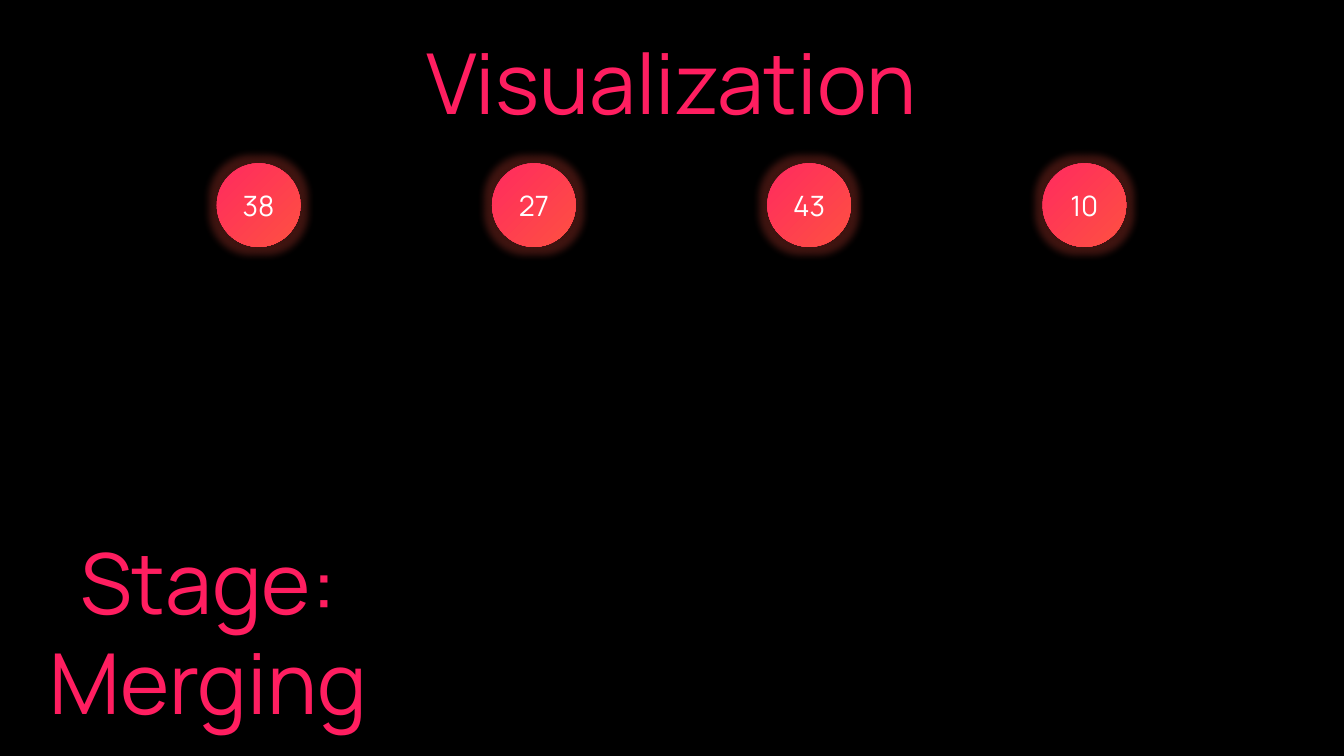
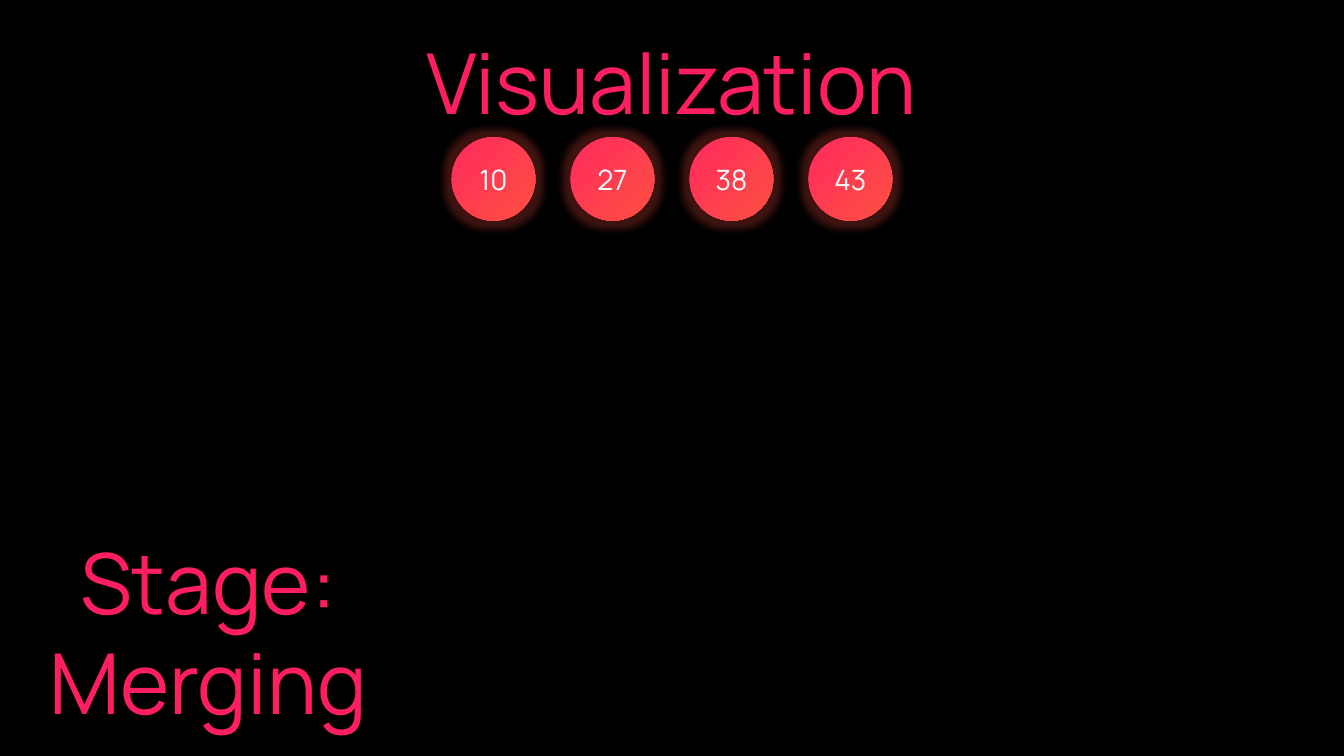
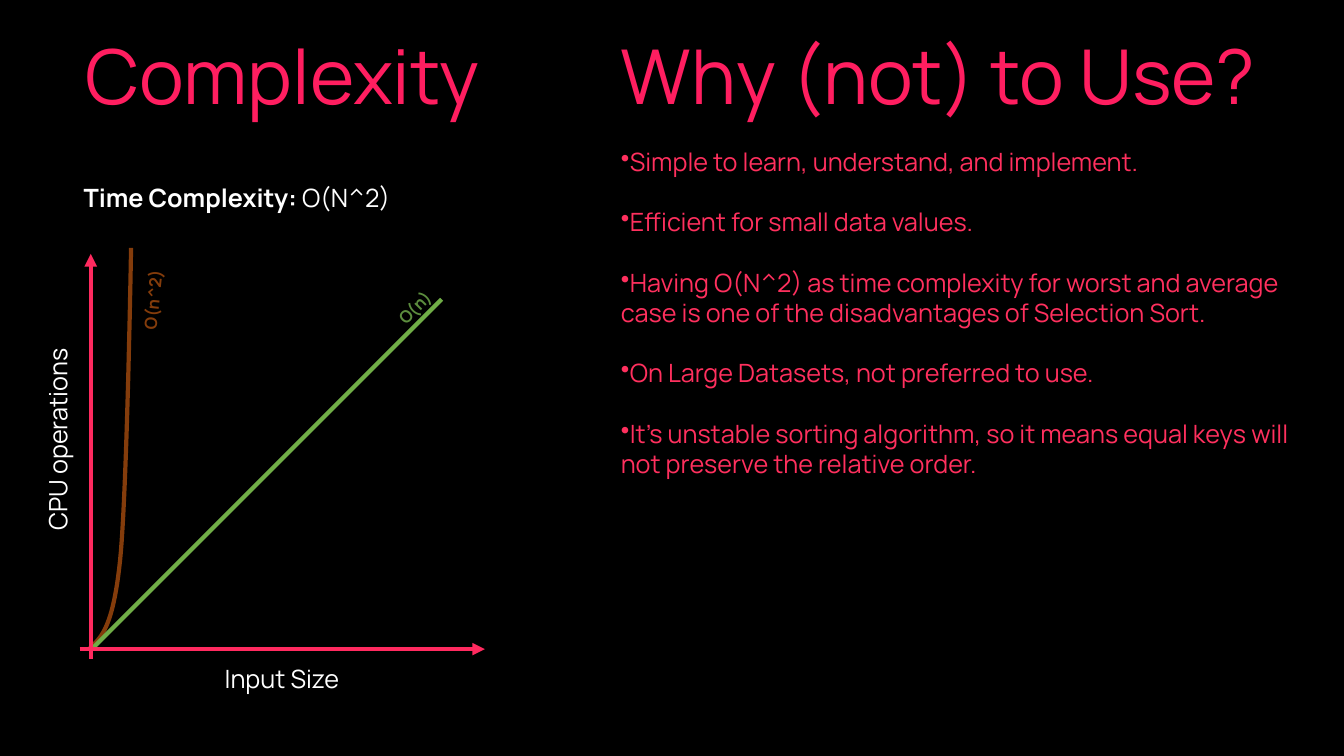
"""Build three dark slides on sorting: two visualization stages and a complexity summary."""
from dataclasses import dataclass

from lxml import etree
from pptx import Presentation
from pptx.dml.color import RGBColor
from pptx.dml.fill import FillFormat
from pptx.enum import shapes, text
from pptx.oxml.ns import qn
from pptx.slide import Slide
from pptx.util import Inches, Pt

BLACK = RGBColor(0x00, 0x00, 0x00)
WHITE = RGBColor(0xFF, 0xFF, 0xFF)
BROWN = RGBColor(0x84, 0x3C, 0x0B)
GREEN = RGBColor(0x70, 0xAD, 0x47)
DARK_GREEN = RGBColor(0x5C, 0x8D, 0x3E)
ORANGE = RGBColor(0xFE, 0x51, 0x41)
TITLE_PINK = RGBColor(0xFF, 0x1E, 0x60)
BODY_PINK = RGBColor(0xFF, 0x30, 0x5E)
NODE_PINK = RGBColor(0xFF, 0x2A, 0x5F)

FONT = "Manrope"
NODE_SIZE = 0.83
LINE_WIDTH = Pt(3)
LEFT = text.PP_ALIGN.LEFT
CENTER = text.PP_ALIGN.CENTER

Point = tuple[float, float]
Box = tuple[float, float, float, float]


@dataclass(frozen=True)
class Gradient:
    """A blend from one colour to orange, turned clockwise by an angle."""

    start: RGBColor
    angle: int = 0


Paint = RGBColor | Gradient


@dataclass(frozen=True)
class SortStage:
    """A row of numbered nodes at an even pitch."""

    values: tuple[int, ...]
    left: float
    top: float
    pitch: float


@dataclass(frozen=True)
class GraphLine:
    """A straight line of the complexity graph."""

    start: Point
    end: Point
    paint: Paint
    arrow: bool = False


TITLE_PAINT = Gradient(TITLE_PINK)
NODE_PAINT = Gradient(NODE_PINK, 45)

STAGES = (
    SortStage((38, 27, 43, 10), 2.15, 1.62, 2.73),
    SortStage((10, 27, 38, 43), 4.48, 1.36, 1.18),
)
GROWTH_LINE = GraphLine((0.9, 6.45), (4.38, 2.97), GREEN)
AXES = (
    GraphLine((0.79, 6.44), (4.81, 6.44), Gradient(NODE_PINK), True),
    GraphLine((0.9, 6.54), (0.9, 2.52), Gradient(NODE_PINK), True),
)
QUADRATIC_CURVE = (
    ((0.89, 6.43), (1.0, 6.33), (1.12, 6.23), (1.19, 5.57)),
    ((1.19, 5.57), (1.26, 4.91), (1.3, 2.46), (1.3, 2.46)),
)
REASONS = (
    "Simple to learn, understand, and implement.",
    "Efficient for small data values.",
    "Having O(N^2) as time complexity for worst and average case is one of the "
    "disadvantages of Selection Sort.",
    "On Large Datasets, not preferred to use.",
    "It’s unstable sorting algorithm, so it means equal keys will not preserve "
    "the relative order.",
)


def apply_paint(fill: FillFormat, paint: Paint) -> None:
    """Fill with a plain colour or a gradient."""
    if isinstance(paint, Gradient):
        fill.gradient()
        blend = fill._xPr.find(qn("a:gradFill"))
        for child in list(blend):
            blend.remove(child)
        stops = etree.SubElement(blend, qn("a:gsLst"))
        for position, color in ((0, paint.start), (100000, ORANGE)):
            stop = etree.SubElement(stops, qn("a:gs"), pos=str(position))
            etree.SubElement(stop, qn("a:srgbClr"), val=str(color))
        etree.SubElement(blend, qn("a:lin"), ang=str(paint.angle * 60000), scaled="0")
    else:
        fill.solid()
        fill.fore_color.rgb = paint


def style_run(run, size: float, paint: Paint, bold: bool) -> None:
    """Set the font of one run."""
    run.font.name = FONT
    run.font.size = Pt(size)
    run.font.bold = bold
    apply_paint(run.font.fill, paint)


def add_text(slide: Slide, box: Box, *lines: str, size: float = 18, paint: Paint = WHITE,
             bold: bool = False, align: text.PP_ALIGN = LEFT, wrap: bool = True,
             rotation: float = 0, lead: str = "", bullet: str = "", gap: float = 0) -> None:
    """Add a text box with one paragraph a line and an optional bold lead."""
    label = slide.shapes.add_textbox(*map(Inches, box))
    label.rotation = rotation
    frame = label.text_frame
    frame.word_wrap = wrap
    frame.auto_size = text.MSO_AUTO_SIZE.SHAPE_TO_FIT_TEXT
    for index, line in enumerate(lines):
        paragraph = frame.add_paragraph() if index else frame.paragraphs[0]
        if bullet:
            properties = paragraph._p.get_or_add_pPr()
            etree.SubElement(properties, qn("a:buChar"), char=bullet)
        paragraph.alignment = align
        if index:
            paragraph.space_before = Pt(gap)
        if lead:
            lead_run = paragraph.add_run()
            lead_run.text = lead
            style_run(lead_run, size, paint, True)
            body_run = paragraph.add_run()
            body_run.text = line
            style_run(body_run, size, paint, bold)
        else:
            paragraph.text = line
            for run in paragraph.runs:
                style_run(run, size, paint, bold)


def add_title(slide: Slide, box: Box, title: str, size: float) -> None:
    """Add a large centred heading."""
    add_text(slide, box, title, size=size, paint=TITLE_PAINT, align=CENTER, wrap=False)


def add_node(slide: Slide, left: float, top: float, value: int) -> None:
    """Add a glowing circle with its number."""
    node = slide.shapes.add_shape(shapes.MSO_SHAPE.OVAL, Inches(left), Inches(top),
                                  Inches(NODE_SIZE), Inches(NODE_SIZE))
    apply_paint(node.fill, NODE_PAINT)
    node.line.fill.background()
    node.shadow.inherit = False
    effects = node._element.spPr.find(qn("a:effectLst"))
    glow = etree.SubElement(effects, qn("a:glow"), rad=str(int(Pt(11))))
    color = etree.SubElement(glow, qn("a:srgbClr"), val=str(ORANGE))
    etree.SubElement(color, qn("a:alpha"), val="25000")
    frame = node.text_frame
    frame.vertical_anchor = text.MSO_ANCHOR.MIDDLE
    paragraph = frame.paragraphs[0]
    paragraph.alignment = CENTER
    paragraph.text = str(value)
    style_run(paragraph.runs[0], 20, WHITE, False)


def add_graph_line(slide: Slide, line: GraphLine) -> None:
    """Add a straight line, with an arrowhead if it is an axis."""
    connector = slide.shapes.add_connector(shapes.MSO_CONNECTOR.STRAIGHT,
                                           *map(Inches, line.start + line.end))
    connector.line.width = LINE_WIDTH
    apply_paint(connector.line.fill, line.paint)
    properties = connector._element.spPr
    if line.arrow:
        etree.SubElement(properties.find(qn("a:ln")), qn("a:tailEnd"), type="triangle")
    etree.SubElement(properties, qn("a:effectLst"))


def bezier_point(controls: tuple[Point, ...], t: float) -> Point:
    """Return the point at t on a cubic curve."""
    weights = ((1 - t) ** 3, 3 * t * (1 - t) ** 2, 3 * t ** 2 * (1 - t), t ** 3)
    return (sum(w * x for w, (x, _) in zip(weights, controls)),
            sum(w * y for w, (_, y) in zip(weights, controls)))


def add_quadratic_curve(slide: Slide, steps: int = 24) -> None:
    """Add the steep curve of quadratic growth."""
    points = [tuple(map(Inches, bezier_point(controls, step / steps)))
              for controls in QUADRATIC_CURVE for step in range(steps + 1)]
    builder = slide.shapes.build_freeform(*points[0])
    builder.add_line_segments(points[1:], close=False)
    curve = builder.convert_to_shape()
    curve.fill.background()
    curve.line.width = LINE_WIDTH
    apply_paint(curve.line.fill, BROWN)
    curve.shadow.inherit = False


def add_stage_slide(slide: Slide, stage: SortStage) -> None:
    """Draw one stage of the sort."""
    add_title(slide, (3.81, 0.25, 5.71, 1.11), "Visualization", 60)
    add_title(slide, (0.19, 5.21, 3.75, 2.12), "Stage:\nMerging", 60)
    for index, value in enumerate(stage.values):
        add_node(slide, stage.left + index * stage.pitch, stage.top, value)


def add_complexity_slide(slide: Slide) -> None:
    """Draw the growth graph and the list of reasons."""
    add_quadratic_curve(slide)
    add_graph_line(slide, GROWTH_LINE)
    add_text(slide, (1.11, 2.81, 0.82, 0.3), "O(n^2)", size=12, paint=BROWN, bold=True,
             wrap=False, rotation=276.1)
    add_text(slide, (3.82, 2.89, 0.61, 0.3), "O(n)", size=12, paint=DARK_GREEN, bold=True,
             wrap=False, rotation=314.4)
    add_text(slide, (0.73, 1.76, 3.81, 0.4), "O(N^2)", lead="Time Complexity: ")
    add_title(slide, (5.76, 0.24, 7.09, 1.01), "Why (not) to Use?", 54)
    add_title(slide, (0.49, 0.24, 4.62, 1.01), "Complexity", 54)
    add_text(slide, (6.06, 1.4, 6.87, 3.74), *REASONS, paint=Gradient(BODY_PINK),
             bullet="•", gap=21.6)
    for axis in AXES:
        add_graph_line(slide, axis)
    add_text(slide, (2.09, 6.53, 1.41, 0.4), "Input Size", align=CENTER)
    add_text(slide, (-0.95, 4.16, 3.04, 0.4), "CPU operations", align=CENTER, rotation=270)


def main() -> None:
    """Build and save the presentation."""
    deck = Presentation()
    deck.slide_width, deck.slide_height = Inches(13.33), Inches(7.5)
    apply_paint(deck.slide_master.background.fill, BLACK)
    blank = deck.slide_layouts[6]
    for stage in STAGES:
        add_stage_slide(deck.slides.add_slide(blank), stage)
    add_complexity_slide(deck.slides.add_slide(blank))
    deck.save("out.pptx")


if __name__ == "__main__":
    main()
